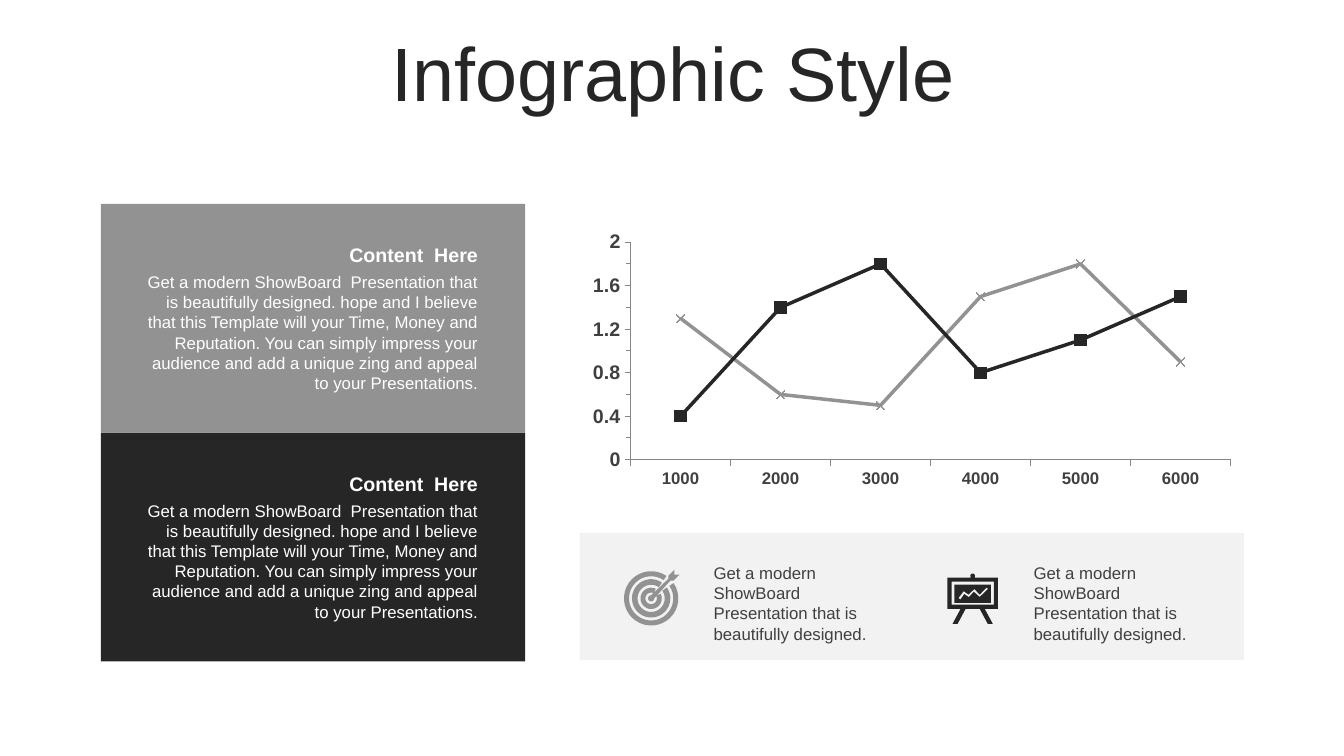
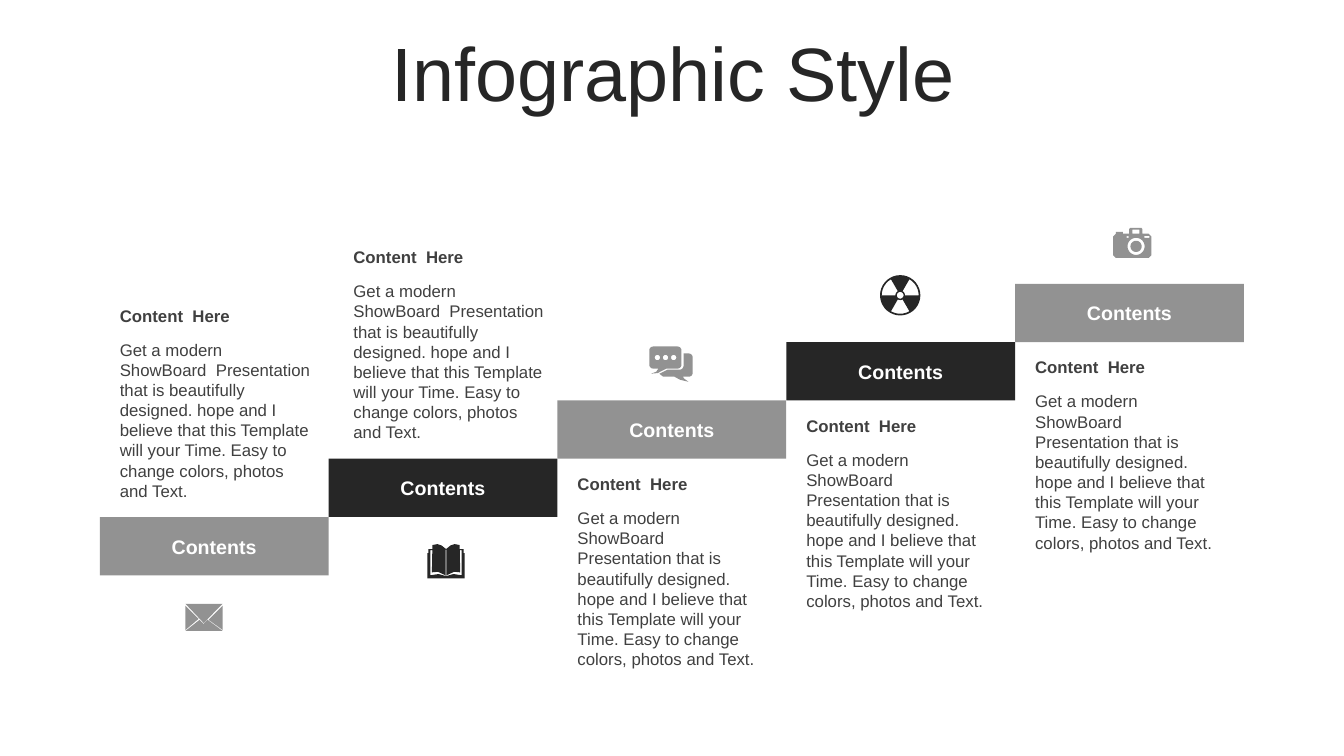
from math import asin, cos, degrees, radians, sin

from pptx import Presentation
from pptx.chart.data import CategoryChartData
from pptx.dml.color import RGBColor
from pptx.enum.chart import XL_CHART_TYPE, XL_MARKER_STYLE, XL_TICK_MARK
from pptx.enum.shapes import MSO_SHAPE
from pptx.enum.text import MSO_ANCHOR, PP_ALIGN
from pptx.util import Pt

COLORS = {"dark": "262626", "gray": "929292", "pale": "F2F2F2",
          "text": "404040", "white": "FFFFFF", "axis": "868686"}
FONT = "Arial"
HEADING = "Content  Here"
SHORT = "Get a modern ShowBoard  Presentation that is beautifully designed."
CARD_TEXT = SHORT + (
    " hope and I believe that this Template will your Time, Money and Reputation."
    " You can simply impress your audience and add a unique zing and appeal"
    " to your Presentations.")
STEP_TEXT = SHORT + (" hope and I believe that this Template will your Time."
                     " Easy to change colors, photos and Text.")


def rgb(name):
    return RGBColor.from_string(COLORS[name])


# Shared parts
def write(tf, text, size, color, bold=False, align=PP_ALIGN.LEFT,
          anchor=MSO_ANCHOR.TOP):
    tf.word_wrap = True
    tf.vertical_anchor = anchor
    tf.text = text
    p = tf.paragraphs[0]
    p.alignment = align
    font = p.runs[0].font
    font.name, font.size, font.bold = FONT, Pt(size), bold
    font.color.rgb = rgb(color)
    return p


def add_text(slide, box, text, size, color, **style):
    sp = slide.shapes.add_textbox(*map(Pt, box))
    return write(sp.text_frame, text, size, color, **style)


def paint(sp, color):
    sp.shadow.inherit = False
    sp.fill.solid()
    sp.fill.fore_color.rgb = rgb(color)
    sp.line.fill.background()


def add_rect(slide, box, color):
    sp = slide.shapes.add_shape(MSO_SHAPE.RECTANGLE, *map(Pt, box))
    paint(sp, color)
    return sp


def add_page(prs, title):
    slide = prs.slides.add_slide(prs.slide_layouts[6])
    p = add_text(slide, (25.2, 26.6, 911.5, 56.9), title, 54, "dark",
                 align=PP_ALIGN.CENTER, anchor=MSO_ANCHOR.MIDDLE)
    p.line_spacing = 0.9
    p.space_before = Pt(10)
    return slide


# Icon outlines: lists of contours in points; overlapping contours cut holes
def arc(cx, cy, r, start=0, end=360):
    n = max(4, round(abs(end - start) / 10))
    angles = [radians(start + (end - start) * i / n) for i in range(n + 1)]
    return [(cx + r * cos(a), cy + r * sin(a)) for a in angles]


def band(cx, cy, outer, inner, start, end):
    return arc(cx, cy, outer, start, end) + arc(cx, cy, inner, end, start)


def box_outline(x, y, w, h):
    return [(x, y), (x + w, y), (x + w, y + h), (x, y + h)]


def target():
    cx, cy = 19.4, 20.5
    rings = []
    for outer, inner, gap in ((19.4, 15.8, 3.6), (13.7, 9.7, 2.5), (7.6, 4.1, 2.5)):
        half = degrees(asin(gap / outer))
        rings.append(band(cx, cy, outer, inner, half - 45, 315 - half))
    dart = arc(cx, cy, 2.2, 0, 270) + [
        (31.7, 6.5), (31.7, 4.3), (36, 0), (36, 3.6), (39.6, 3.6),
        (35.3, 7.9), (33.1, 7.9)]
    return rings + [dart]


def easel():
    stand = [(0, 2.9), (16.6, 2.9)] + arc(18, 1.6, 1.6, 180, 360) + [
        (19.6, 2.9), (36, 2.9), (36, 25.2), (26.6, 25.2), (32.4, 36), (28.8, 36),
        (23, 25.2), (13, 25.2), (7.2, 36), (3.6, 36), (9.4, 25.2), (0, 25.2)]
    trend = [(28, 10), (23, 15.1), (19.2, 11), (15.1, 15.1), (11.6, 12.6),
             (7.9, 17.5), (9.2, 18.7), (12, 14.6), (15.3, 16.9), (18.8, 13),
             (23, 16.8), (29, 11)]
    return [stand, box_outline(2.9, 5.8, 30.2, 16.5),
            box_outline(5, 7.9, 26, 13), trend]


def envelope():
    return [[(0, 0), (26.6, 0), (13, 13.7)],
            [(0, 1.4), (9.4, 10.8), (0, 18.7)],
            [(26.6, 1.4), (26.6, 18.7), (16.6, 11.5)],
            [(15.8, 11.5), (26.6, 19.4), (0, 19.4), (10.1, 11.5), (13, 14.4)]]


def book():
    def mirror(points):
        return [(26.6 - x, y) for x, y in reversed(points)]

    cover = [(0, 24.5), (0, 6.5), (0.7, 6.5), (0.7, 3.6), (3.6, 3.6), (3.6, 0.7),
             (7.2, 0), (10.1, 1), (13.3, 3.6)]
    page_edge = [(2.2, 4.3), (3.5, 4.3), (3.2, 20.2), (7.5, 19.8), (12.9, 22.3),
                 (12.9, 4), (13.2, 4), (13.2, 22.9), (8, 21.4), (2.2, 22.3)]
    return [cover + mirror(cover), page_edge, mirror(page_edge)]


def chat():
    front = (arc(2.9, 2.9, 2.9, 180, 270) + arc(20.1, 2.9, 2.9, 270, 360)
             + arc(20.1, 12.9, 2.9, 0, 90)
             + [(12.2, 15.8), (6, 19), (1.4, 19.4), (5, 18), (6.5, 15.8)]
             + arc(2.9, 12.9, 2.9, 90, 180))
    back = ([(24.5, 5)] + arc(28.1, 7.9, 2.9, 270, 360) + arc(28.1, 18.7, 2.9, 0, 90)
            + [(24, 21.6), (25, 23), (28, 25.2), (22, 23.8), (18, 21.6),
               (10, 21.6), (7.2, 19.5), (13, 16.6)]
            + arc(21.5, 13.6, 3, 90, 0))
    return [front, back] + [arc(5.8 * i, 7.9, 1.9) for i in (1, 2, 3)]


def radiation():
    c = 14.4
    return ([arc(c, c, 14.4), arc(c, c, 2.4)]
            + [band(c, c, 13.2, 3.4, a, a + 60) for a in (-60, 60, 180)])


def camera():
    body = [(2, 4.3), (2, 2.9), (7, 2.9), (7, 4.3), (11.5, 4.3), (11.5, 1),
            (12.2, 0), (20.2, 0), (20.9, 1), (20.9, 4.3), (25.4, 4.3), (27.4, 6.3),
            (27.4, 19.6), (25.4, 21.6), (2, 21.6), (0, 19.6), (0, 6.3)]
    return [body, box_outline(13.7, 1.4, 5, 2.9), box_outline(9.6, 6, 1.4, 1.2),
            box_outline(22.3, 5.8, 3.6, 1.4),
            arc(16.4, 13.3, 6.1), arc(16.4, 13.3, 4)]


def add_icon(slide, left, top, contours, color):
    units = 100  # drawing units per point
    scaled = [[(x * units, y * units) for x, y in c] for c in contours]
    fb = slide.shapes.build_freeform(*scaled[0][0], scale=Pt(1) / units)
    for i, points in enumerate(scaled):
        if i:
            fb.move_to(*points[0])
        fb.add_line_segments(points[1:], close=True)
    paint(fb.convert_to_shape(Pt(left), Pt(top)), color)


# Chart slide regions
def add_card(slide, left, top, width, height, color):
    add_rect(slide, (left, top, width, height), color)
    x, w = left + 21.6, width - 48.2
    add_text(slide, (x, top + 24.5, w, 24.2), HEADING, 14, "white", bold=True,
             align=PP_ALIGN.RIGHT, anchor=MSO_ANCHOR.MIDDLE)
    add_text(slide, (x, top + 45, w, 94.3), CARD_TEXT, 12, "white",
             align=PP_ALIGN.RIGHT)


def style_axis(axis, size):
    axis.has_major_gridlines = False
    axis.major_tick_mark = XL_TICK_MARK.OUTSIDE
    axis.format.line.color.rgb = rgb("axis")
    axis.format.line.width = Pt(0.75)
    font = axis.tick_labels.font
    font.name, font.size, font.bold = FONT, Pt(size), True
    font.color.rgb = rgb("text")


def add_line_chart(slide, box):
    data = CategoryChartData()
    data.categories = ["1000", "2000", "3000", "4000", "5000", "6000"]
    data.add_series("Series 1", (1.3, 0.6, 0.5, 1.5, 1.8, 0.9))
    data.add_series("Series 2", (0.4, 1.4, 1.8, 0.8, 1.1, 1.5))
    chart = slide.shapes.add_chart(XL_CHART_TYPE.LINE_MARKERS, *map(Pt, box),
                                   data).chart
    chart.has_legend = chart.has_title = False
    chart.font.name, chart.font.size = FONT, Pt(18)
    style_axis(chart.category_axis, 12)
    axis = chart.value_axis
    style_axis(axis, 14)
    axis.minor_tick_mark = XL_TICK_MARK.OUTSIDE
    axis.minimum_scale, axis.maximum_scale = 0, 2
    axis.major_unit, axis.minor_unit = 0.4, 0.2
    plot = chart.plots[0]
    plot.vary_by_categories = False
    looks = (("gray", XL_MARKER_STYLE.X, 6), ("dark", XL_MARKER_STYLE.SQUARE, 8))
    for series, (color, style, size) in zip(plot.series, looks):
        series.smooth = False
        series.format.line.color.rgb = rgb(color)
        series.format.line.width = Pt(2.5)
        marker = series.marker
        marker.style, marker.size = style, size
        marker.format.fill.solid()
        marker.format.fill.fore_color.rgb = rgb(color)
        marker.format.line.color.rgb = rgb(color)


def add_note_strip(slide, left, top, width, height):
    add_rect(slide, (left, top, width, height), "pale")
    notes = ((31.7, 26, target(), "gray"), (262.8, 28.8, easel(), "dark"))
    for i, (dx, dy, outline, color) in enumerate(notes):
        add_icon(slide, left + dx, top + dy, outline, color)
        add_text(slide, (left + 88.6 + 228.6 * i, top + 17.5, 138.2, 65.5),
                 SHORT, 12, "text")


def chart_slide(prs):
    slide = add_page(prs, "Infographic Style")
    for i, color in enumerate(("gray", "dark")):
        add_card(slide, 72, 145.6 + 163.4 * i, 303.2, 163.4, color)
    add_line_chart(slide, (414, 161.3, 474.5, 190.8))
    add_note_strip(slide, 414, 380.9, 474.5, 90.7)


# Staircase slide regions
def add_step(slide, left, top, width, height, color, above, indent):
    sp = add_rect(slide, (left, top, width, height), color)
    write(sp.text_frame, "Contents", 14, "white", bold=True,
          align=PP_ALIGN.CENTER, anchor=MSO_ANCHOR.MIDDLE)
    text_top = top - 154.8 if above else top + height + 7.2
    w = 151.9 if above else 149.7
    add_text(slide, (left + indent, text_top, w, 21.6), HEADING, 12, "text",
             bold=True, anchor=MSO_ANCHOR.MIDDLE)
    add_text(slide, (left + indent, text_top + 24.3, w, 123.8), STEP_TEXT, 12, "text")


def stairs_slide(prs):
    slide = add_page(prs, "Infographic Style")
    width, height = 163.45, 41.65
    # outline, icon offset from the bar, text above the bar, text indent
    steps = ((envelope(), 61.2, 62, True, 7.2), (book(), 70.6, 61, True, 10.6),
             (chat(), 65.6, -38.5, False, 7.2),
             (radiation(), 67, -47.8, False, 7.2),
             (camera(), 70, -40, False, 7.2))
    for i, (outline, dx, dy, above, indent) in enumerate(steps):
        left, top = 71.3 + width * i, 369.3 - height * i
        color = ("gray", "dark")[i % 2]
        add_step(slide, left, top, width, height, color, above, indent)
        add_icon(slide, left + dx, top + dy, outline, color)


def main():
    prs = Presentation()
    prs.slide_width, prs.slide_height = Pt(960), Pt(540)
    chart_slide(prs)
    stairs_slide(prs)
    prs.save("out.pptx")


if __name__ == "__main__":
    main()
